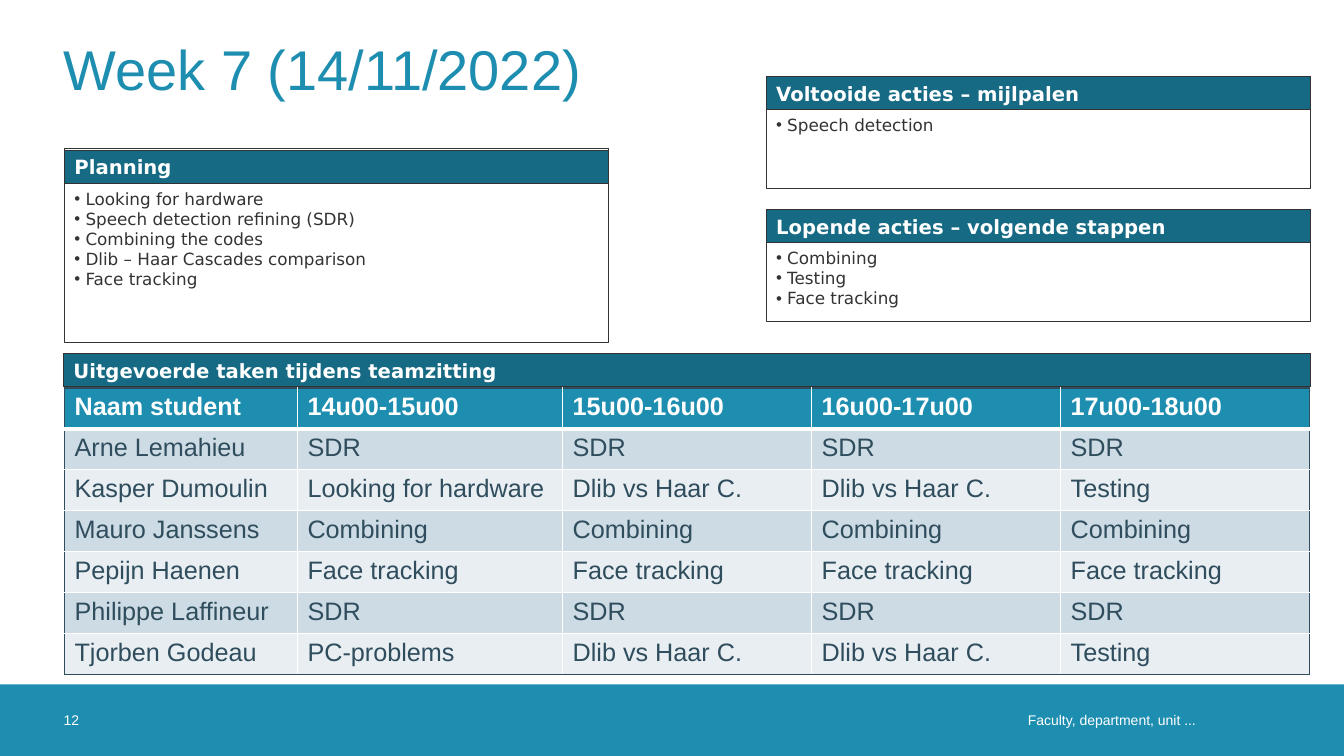
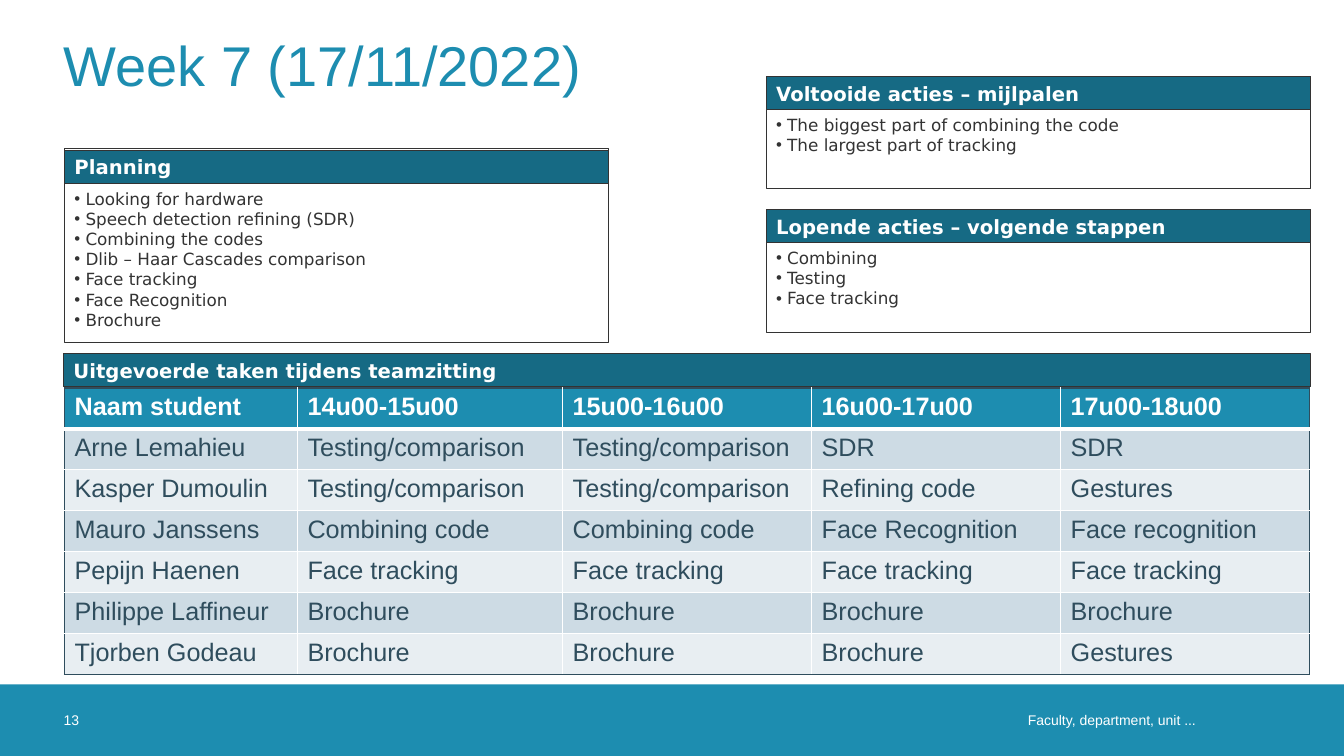
from lxml import etree
from pptx import Presentation
from pptx.dml.color import RGBColor
from pptx.enum.shapes import MSO_SHAPE
from pptx.enum.text import MSO_ANCHOR, PP_ALIGN
from pptx.oxml.ns import qn
from pptx.util import Inches, Pt

RECTANGLE = MSO_SHAPE.RECTANGLE
TOP, MIDDLE = MSO_ANCHOR.TOP, MSO_ANCHOR.MIDDLE
LEFT, RIGHT = PP_ALIGN.LEFT, PP_ALIGN.RIGHT

WHITE = RGBColor(0xFF, 0xFF, 0xFF)
BLUE = RGBColor(0x1D, 0x8D, 0xB0)
DARK_BLUE = RGBColor(0x16, 0x6A, 0x84)
CHARCOAL = RGBColor(0x33, 0x33, 0x33)
SLATE = RGBColor(0x2F, 0x4D, 0x5D)
ROW_DARK = RGBColor(0xCD, 0xDB, 0xE4)
ROW_LIGHT = RGBColor(0xE8, 0xEE, 0xF2)

SANS = "Arial"
PANEL_FONT = "DejaVu Sans"

SLIDE_WIDTH, SLIDE_HEIGHT = 13.33, 7.5
MARGIN = 0.63
FOOTER_TOP, FOOTER_HEIGHT = 6.79, 0.71
HEADING_HEIGHT = 0.33
PANEL_WIDTH = 5.4
PLANNING_LEFT, ACTIONS_LEFT = 0.64, 7.6
BULLET_INDENT = 0.11
TABLE_TOP, TABLE_HEIGHT = 3.85, 2.84
COLUMN_WIDTHS = (2.31, 2.63, 2.47, 2.47, 2.47)

STUDENTS = ("Arne Lemahieu", "Kasper Dumoulin", "Mauro Janssens",
            "Pepijn Haenen", "Philippe Laffineur", "Tjorben Godeau")
TABLE_HEADER = ["Naam student"] + [f"{hour}u00-{hour + 1}u00" for hour in range(14, 18)]
PLANNING = ["Looking for hardware", "Speech detection refining (SDR)",
            "Combining the codes", "Dlib – Haar Cascades comparison", "Face tracking"]
NEXT_STEPS = ["Combining", "Testing", "Face tracking"]

WEEKS = [
    {
        "number": 12, "title": "Week 7 (14/11/2022)", "title_top": 0.05,
        "planning": PLANNING,
        "done": ["Speech detection"],
        "next_height": 1.11,
        "tasks": [
            ["SDR"] * 4,
            ["Looking for hardware", "Dlib vs Haar C.", "Dlib vs Haar C.", "Testing"],
            ["Combining"] * 4,
            ["Face tracking"] * 4,
            ["SDR"] * 4,
            ["PC-problems", "Dlib vs Haar C.", "Dlib vs Haar C.", "Testing"],
        ],
    },
    {
        "number": 13, "title": "Week 7 (17/11/2022)", "title_top": 0.01,
        "planning": PLANNING + ["Face Recognition", "Brochure"],
        "done": ["The biggest part of combining the code", "The largest part of tracking"],
        "next_height": 1.22,
        "tasks": [
            ["Testing/comparison", "Testing/comparison", "SDR", "SDR"],
            ["Testing/comparison", "Testing/comparison", "Refining code", "Gestures"],
            ["Combining code", "Combining code", "Face Recognition", "Face recognition"],
            ["Face tracking"] * 4,
            ["Brochure"] * 4,
            ["Brochure", "Brochure", "Brochure", "Gestures"],
        ],
    },
]


def format_runs(frame, size, color, font=SANS, bold=False, align=LEFT):
    for para in frame.paragraphs:
        para.alignment = align
        for span in para.runs:
            span.font.size = Pt(size)
            span.font.name = font
            span.font.bold = bold
            span.font.color.rgb = color


def add_bullet(para):
    properties = para._p.get_or_add_pPr()
    properties.set("marL", str(Inches(BULLET_INDENT)))
    properties.set("indent", str(-Inches(BULLET_INDENT)))
    etree.SubElement(properties, qn("a:buFont"), typeface=SANS)
    etree.SubElement(properties, qn("a:buChar"), char="•")


def set_borders(cell, borders):
    """Draw cell sides from (side, colour, points), in the order L, R, T, B."""
    properties = cell._tc.get_or_add_tcPr()
    for side, color, points in borders:
        line = etree.SubElement(properties, qn(f"a:ln{side}"), w=str(Pt(points)))
        fill = etree.SubElement(line, qn("a:solidFill"))
        etree.SubElement(fill, qn("a:srgbClr"), val=str(color))


class WeekDeck:
    """Holds the shared style and the slide being filled."""

    def __init__(self):
        self.deck = Presentation()
        self.deck.slide_width = Inches(SLIDE_WIDTH)
        self.deck.slide_height = Inches(SLIDE_HEIGHT)
        self.slide = None

    def start_slide(self, title, title_top, number):
        self.slide = self.deck.slides.add_slide(self.deck.slide_layouts[6])
        self.rectangle(0, FOOTER_TOP, SLIDE_WIDTH, FOOTER_HEIGHT, fill=BLUE)
        unit = self.text("Faculty, department, unit ...", 6.6, FOOTER_TOP, 5.46,
                         FOOTER_HEIGHT, 10, WHITE, RIGHT)
        unit.margin_right = Inches(0.2)
        self.text(str(number), MARGIN, FOOTER_TOP, 0.71, FOOTER_HEIGHT, 10, WHITE)
        self.text(title, MARGIN, title_top, 12.07, 1.26, 40, BLUE)

    def rectangle(self, left, top, width, height, fill=None, outline=None):
        box = self.slide.shapes.add_shape(
            RECTANGLE, Inches(left), Inches(top), Inches(width), Inches(height))
        box.shadow.inherit = False
        if fill is None:
            box.fill.background()
        else:
            box.fill.solid()
            box.fill.fore_color.rgb = fill
        if outline is None:
            box.line.fill.background()
        else:
            box.line.color.rgb = outline
            box.line.width = Pt(0.75)
        return box

    def text_frame(self, left, top, width, height):
        box = self.slide.shapes.add_textbox(
            Inches(left), Inches(top), Inches(width), Inches(height))
        box.text_frame.word_wrap = True
        return box.text_frame

    def text(self, words, left, top, width, height, size, color, align=LEFT):
        frame = self.text_frame(left, top, width, height)
        frame.margin_left = frame.margin_right = 0
        frame.margin_top = frame.margin_bottom = 0
        frame.vertical_anchor = MIDDLE
        frame.text = words
        format_runs(frame, size, color, align=align)
        return frame

    def heading(self, words, left, top, width):
        box = self.rectangle(left, top, width, HEADING_HEIGHT, DARK_BLUE, CHARCOAL)
        frame = box.text_frame
        frame.vertical_anchor = MIDDLE
        frame.text = words
        format_runs(frame, 14, WHITE, PANEL_FONT, bold=True)

    def panel(self, title, items, left, top, height, heading_drop=0):
        """Draw a framed bullet list whose heading sits heading_drop below the frame top."""
        heading_top = top + heading_drop
        self.rectangle(left, top, PANEL_WIDTH, height, outline=CHARCOAL)
        self.heading(title, left, heading_top, PANEL_WIDTH)
        frame = self.text_frame(left, heading_top + HEADING_HEIGHT, PANEL_WIDTH,
                                height - heading_drop - HEADING_HEIGHT)
        frame.vertical_anchor = TOP
        frame.text = "\n".join(items)
        format_runs(frame, 12, CHARCOAL, PANEL_FONT)
        for para in frame.paragraphs:
            add_bullet(para)

    def task_table(self, rows):
        table = self.slide.shapes.add_table(
            len(rows), len(COLUMN_WIDTHS), Inches(PLANNING_LEFT), Inches(TABLE_TOP),
            Inches(sum(COLUMN_WIDTHS)), Inches(TABLE_HEIGHT)).table
        for column, width in zip(table.columns, COLUMN_WIDTHS):
            column.width = Inches(width)
        last_row, last_column = len(rows) - 1, len(COLUMN_WIDTHS) - 1
        for i, row in enumerate(rows):
            table.rows[i].height = Inches(TABLE_HEIGHT / len(rows))
            is_header = i == 0
            row_fill = BLUE if is_header else ROW_DARK if i % 2 else ROW_LIGHT
            for j, words in enumerate(row):
                cell = table.cell(i, j)
                cell.text = words
                format_runs(cell.text_frame, 18, WHITE if is_header else SLATE,
                            bold=is_header)
                set_borders(cell, [
                    ("L", SLATE if j == 0 else WHITE, 1),
                    ("R", SLATE if j == last_column else WHITE, 1),
                    ("T", SLATE if is_header else WHITE, 3 if i == 1 else 1),
                    ("B", SLATE if i == last_row else WHITE, 3 if is_header else 1),
                ])
                cell.fill.solid()
                cell.fill.fore_color.rgb = row_fill

    def week(self, week):
        self.start_slide(week["title"], week["title_top"], week["number"])
        self.panel("Planning", week["planning"], PLANNING_LEFT, 1.47, 1.93,
                   heading_drop=0.02)
        self.task_table([TABLE_HEADER] + [
            [student] + tasks for student, tasks in zip(STUDENTS, week["tasks"])])
        self.heading("Uitgevoerde taken tijdens teamzitting", MARGIN, 3.51, 12.37)
        self.panel("Voltooide acties – mijlpalen", week["done"], ACTIONS_LEFT, 0.76, 1.11)
        self.panel("Lopende acties – volgende stappen", NEXT_STEPS, ACTIONS_LEFT, 2.08,
                   week["next_height"])


def main():
    builder = WeekDeck()
    for week in WEEKS:
        builder.week(week)
    builder.deck.save("out.pptx")


if __name__ == "__main__":
    main()
